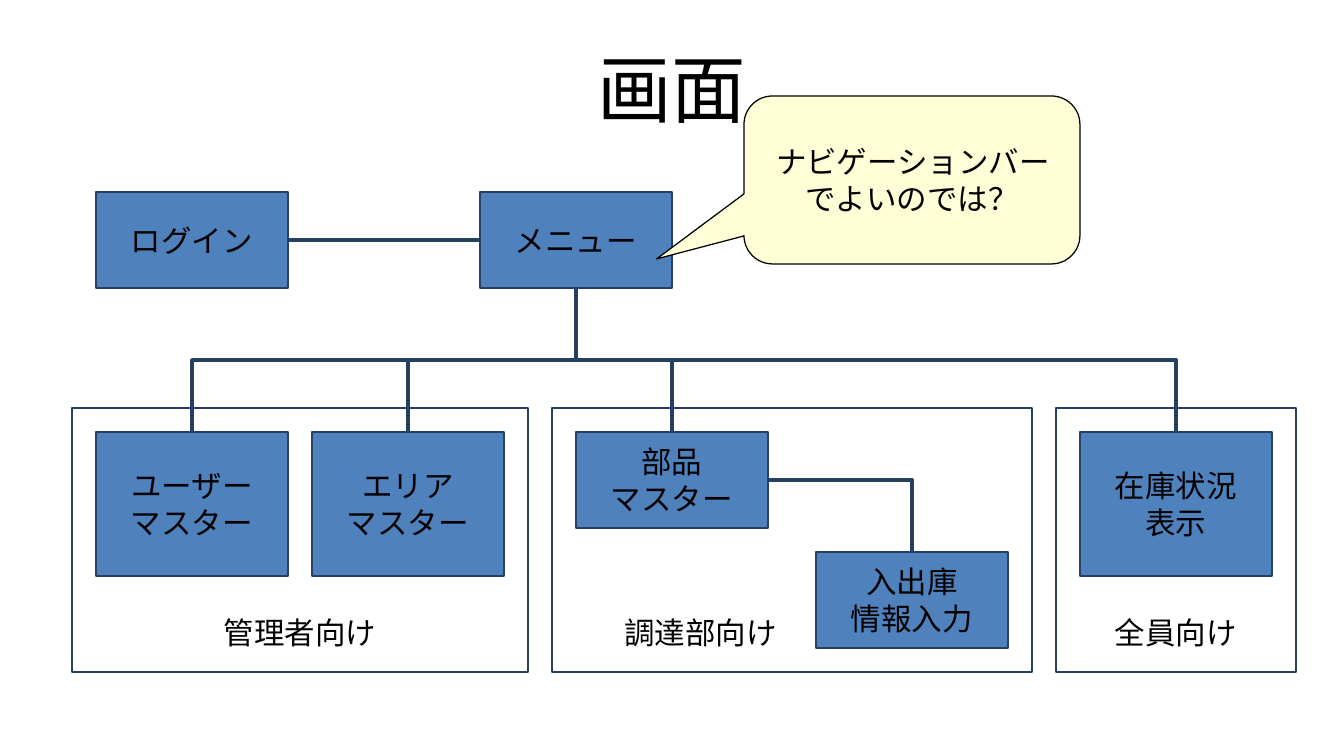
from lxml.etree import SubElement
from pptx import Presentation
from pptx.dml.color import RGBColor
from pptx.enum.shapes import MSO_CONNECTOR, MSO_SHAPE
from pptx.enum.text import MSO_ANCHOR, PP_ALIGN
from pptx.oxml.ns import qn
from pptx.util import Cm, Pt

COLORS = {"box": "4F81BD", "line": "254061", "note": "FFFFD7", "text": "000000"}
TOP, LEFT, BOTTOM, RIGHT = range(4)

prs = Presentation()
prs.slide_width, prs.slide_height = Cm(28), Cm(15.75)
slide = prs.slides.add_slide(prs.slide_layouts[6])


def write(shape, text, size=18, anchor=MSO_ANCHOR.MIDDLE):
    frame = shape.text_frame
    frame.text = text
    frame.word_wrap = True
    frame.vertical_anchor = anchor
    for paragraph in frame.paragraphs:
        paragraph.alignment = PP_ALIGN.CENTER
        for run in paragraph.runs:
            run.font.size = Pt(size)
            run.font.name = "Arial"
            run.font.color.rgb = RGBColor.from_string(COLORS["text"])


def add_panel(kind, place, fill, line):
    panel = slide.shapes.add_shape(kind, *(Cm(length) for length in place))
    panel.shadow.inherit = False
    if fill:
        panel.fill.solid()
        panel.fill.fore_color.rgb = RGBColor.from_string(COLORS[fill])
    else:
        panel.fill.background()
    panel.line.color.rgb = RGBColor.from_string(COLORS[line])
    panel.line.width = Pt(0)
    return panel


# Title
title = slide.shapes.add_textbox(Cm(1.4), Cm(0.63), Cm(25.2), Cm(2.62))
write(title, "画面", size=44)
title.text_frame.paragraphs[0].line_spacing = 0.9
title.text_frame.margin_left = title.text_frame.margin_right = 0
title.text_frame.margin_top = title.text_frame.margin_bottom = 0

# Screens
screens = {}
for name, text, left, top, height in [
    ("login", "ログイン", 2, 4, 2),
    ("menu", "メニュー", 10, 4, 2),
    ("parts", "部品\nマスター", 12, 9, 2),
    ("area", "エリア\nマスター", 6.5, 9, 3),
    ("user", "ユーザー\nマスター", 2, 9, 3),
    ("stock_entry", "入出庫\n情報入力", 17, 11.5, 2),
    ("stock_status", "在庫状況\n表示", 22.5, 9, 3),
]:
    screens[name] = add_panel(MSO_SHAPE.RECTANGLE, (left, top, 4, height), "box", "line")
    write(screens[name], text)

# Transitions between screens
for source, source_side, target, target_side, kind in [
    ("login", RIGHT, "menu", LEFT, MSO_CONNECTOR.STRAIGHT),
    ("menu", BOTTOM, "user", TOP, MSO_CONNECTOR.ELBOW),
    ("menu", BOTTOM, "area", TOP, MSO_CONNECTOR.ELBOW),
    ("menu", BOTTOM, "parts", TOP, MSO_CONNECTOR.ELBOW),
    ("parts", RIGHT, "stock_entry", TOP, MSO_CONNECTOR.ELBOW),
    ("menu", BOTTOM, "stock_status", TOP, MSO_CONNECTOR.ELBOW),
]:
    link = slide.shapes.add_connector(kind, 0, 0, 0, 0)
    link.begin_connect(screens[source], source_side)
    link.end_connect(screens[target], target_side)
    link.line.color.rgb = RGBColor.from_string(COLORS["line"])
    link.line.width = Pt(0)
    properties = link._element.spPr
    SubElement(properties, qn("a:effectLst"))
    if source == "parts":
        # A single bend: right, then down
        properties.find(qn("a:prstGeom")).set("prst", "bentConnector2")
    elif source == "menu":
        # Turn the elbow so that it leaves downwards
        across, down = link.end_x - link.begin_x, link.end_y - link.begin_y
        center_x = (link.begin_x + link.end_x) // 2
        center_y = (link.begin_y + link.end_y) // 2
        link.width, link.height = down, abs(across)
        link.left, link.top = center_x - down // 2, center_y - abs(across) // 2
        transform = properties.find(qn("a:xfrm"))
        transform.set("rot", str((270 if across > 0 else 90) * 60000))
        transform.set("flipH", "1" if across > 0 else "0")

# Audience groups, labelled at the bottom
for text, left, width, right_margin in [
    ("管理者向け", 1.5, 9.5, 0.25),
    ("調達部向け", 11.5, 10, 4.06),
    ("全員向け", 22, 5, 0.25),
]:
    group = add_panel(MSO_SHAPE.RECTANGLE, (left, 8.5, width, 5.5), None, "line")
    write(group, text, anchor=MSO_ANCHOR.BOTTOM)
    group.text_frame.margin_right = Cm(right_margin)
    group.text_frame.margin_bottom = Cm(0.44)

# Comment on the menu
note = add_panel(MSO_SHAPE.ROUNDED_RECTANGULAR_CALLOUT, (15.5, 2, 7, 3.5), "note", "text")
for index, value in enumerate((-0.76, 0.47, 0.17)):
    note.adjustments[index] = value
write(note, "ナビゲーションバーでよいのでは？")

prs.save("out.pptx")
